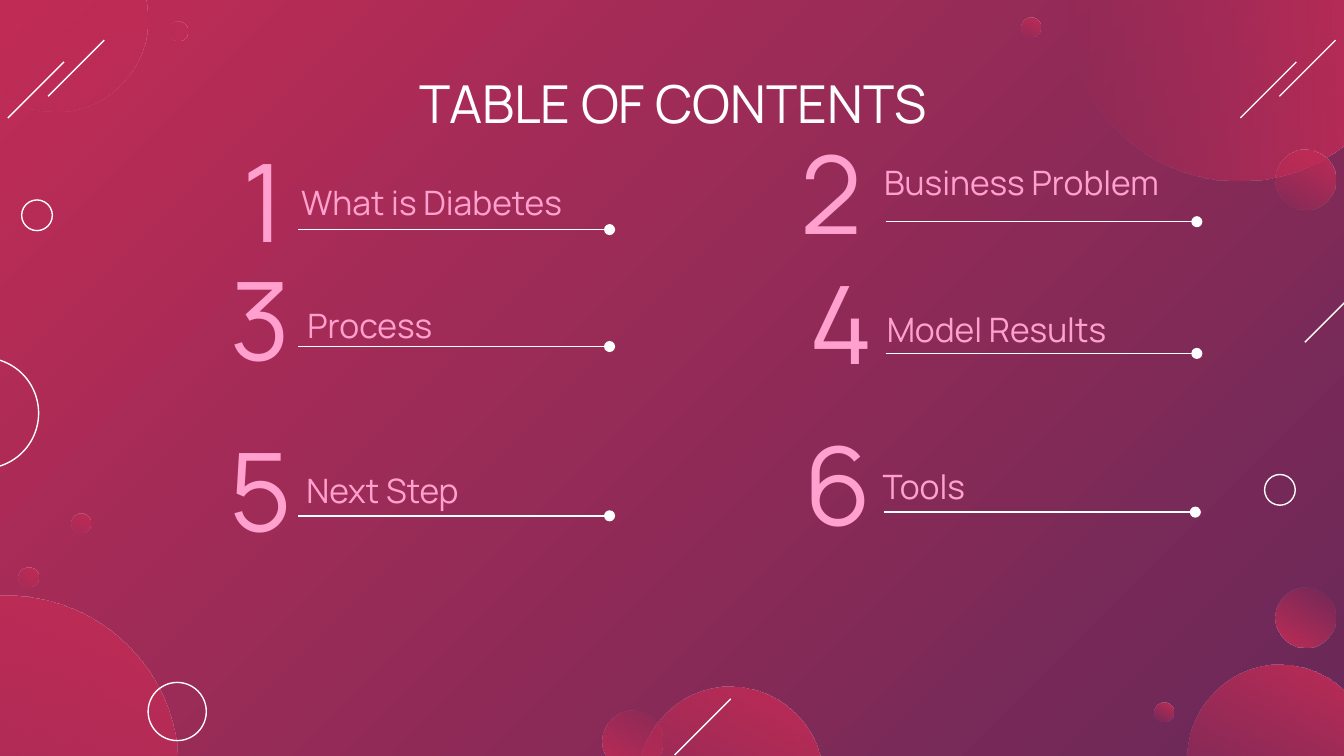
from dataclasses import dataclass

from lxml.etree import SubElement
from pptx import Presentation
from pptx.dml.color import RGBColor as Rgb
from pptx.enum.shapes import MSO_CONNECTOR as Connector, MSO_SHAPE as Shape
from pptx.enum.text import MSO_ANCHOR as Anchor, MSO_AUTO_SIZE as AutoSize, PP_ALIGN as Align
from pptx.oxml.ns import qn
from pptx.util import Cm, Pt


@dataclass(frozen=True)
class Theme:
    font: str = "Manrope"
    crimson: Rgb = Rgb(0xC0, 0x2C, 0x56)
    plum: Rgb = Rgb(0x68, 0x29, 0x58)
    pink: Rgb = Rgb(0xFF, 0xA0, 0xCF)
    white: Rgb = Rgb(0xFF, 0xFF, 0xFF)
    title_size: int = 28
    label_size: int = 18
    number_size: int = 58
    line_width: float = 0.75


class ContentsSlide:
    def __init__(self, deck, theme):
        self.theme = theme
        self.slide = deck.slides.add_slide(deck.slide_layouts[5])
        self.shapes = self.slide.shapes

    def gradient(self, fill, colors, angle):
        fill.gradient()
        fill.gradient_angle = (360 - angle) % 360
        for stop, color, position in zip(fill.gradient_stops, colors, (0, 1)):
            stop.color.rgb = color
            stop.position = position

    def background(self):
        colors = (self.theme.crimson, self.theme.plum)
        self.gradient(self.slide.background.fill, colors, 45)

    def circle(self, left, top, diameter):
        circle = self.shapes.add_shape(
            Shape.OVAL, Cm(left), Cm(top), Cm(diameter), Cm(diameter))
        circle.shadow.inherit = False
        return circle

    def bubble(self, left, top, diameter, angle=121, clear_stop=1):
        bubble = self.circle(left, top, diameter)
        bubble.line.fill.background()
        self.gradient(bubble.fill, (self.theme.crimson,) * 2, angle)
        stops = list(bubble._element.spPr.iter(qn("a:srgbClr")))
        SubElement(stops[clear_stop], qn("a:alpha")).set("val", "0")

    def ring(self, left, top, diameter):
        ring = self.circle(left, top, diameter)
        ring.fill.background()
        self.outline(ring.line)

    def outline(self, line):
        line.color.rgb = self.theme.white
        line.width = Pt(self.theme.line_width)

    def line(self, x1, y1, x2, y2, dot_end=False):
        line = self.shapes.add_connector(
            Connector.STRAIGHT, Cm(x1), Cm(y1), Cm(x2), Cm(y2))
        self.outline(line.line)
        properties = line._element.spPr
        if dot_end:
            SubElement(properties.find(qn("a:ln")), qn("a:tailEnd")).set("type", "oval")
        SubElement(properties, qn("a:effectLst"))

    def set_text(self, box, text, size, color, align, anchor=Anchor.TOP, side=0.25):
        frame = box.text_frame
        frame.text = text
        frame.word_wrap = True
        frame.auto_size = AutoSize.NONE
        frame.vertical_anchor = anchor
        frame.margin_left = frame.margin_right = Cm(side)
        frame.margin_top = frame.margin_bottom = Cm(0.25)
        paragraph = frame.paragraphs[0]
        paragraph.alignment = align
        paragraph.font.name = self.theme.font
        paragraph.font.size = Pt(size)
        paragraph.font.color.rgb = color

    def title(self, text, left, top, width, height):
        title = self.shapes.title
        title.left, title.top = Cm(left), Cm(top)
        title.width, title.height = Cm(width), Cm(height)
        self.set_text(title, text, self.theme.title_size, self.theme.white, Align.CENTER)

    def number(self, text, *bounds):
        box = self.shapes.add_textbox(*map(Cm, bounds))
        self.set_text(box, text, self.theme.number_size, self.theme.pink,
                      Align.RIGHT, Anchor.MIDDLE, 0)

    def label(self, text, *bounds):
        box = self.shapes.add_textbox(*map(Cm, bounds))
        self.set_text(box, text, self.theme.label_size, self.theme.pink, Align.LEFT)


BUBBLES = [
    (-0.69, -1.37, 3.48),
    (-3.12, 11.25, 6.48),
    (20.17, -3.07, 6.48, 0, 0),
    (24.1, 11.1, 1.14, 121, 0),
    (21.82, 13.28, 0.36),
    (12.06, 12.98, 3.48),
    (19.3, 0.33, 0.36),
    (3.18, 0.41, 0.36, 0, 0),
    (0.36, 10.72, 0.36),
    (1.35, 9.7, 0.36),
    (24.1, 2.82, 1.14),
    (11.38, 13.44, 1.14, 121, 0),
    (22.45, 12.57, 3.48),
]
RINGS = [(2.8, 12.9, 1.1), (23.9, 8.97, 0.58), (-1.37, 6.76, 2.1), (0.41, 3.78, 0.58)]
STROKES = [(0.91, 0.76), (0.15, 1.17), (24.66, 5.41),
           (24.18, 0.76), (23.44, 1.17), (12.75, 13.21)]
STROKE_SPAN = 1.06
LABEL_WIDTH = 6.55
RULE_LENGTH = 5.88
ENTRIES = [
    ("What is Diabetes", (2.26, 2.34, 3.12, 2.84), (5.44, 3.18, 1.17), (5.64, 4.34)),
    ("Business Problem", (13.18, 2.82, 3.12, 1.6), (16.46, 2.82, 1.37), (16.74, 4.19)),
    ("Process", (2.69, 4.57, 2.79, 2.84), (5.56, 5.51, 1.19), (5.64, 6.55)),
    ("Model Results", (13.39, 5.33, 3.12, 1.47), (16.51, 5.59, 1.47), (16.74, 6.68)),
    ("Next Step", (2.72, 7.8, 2.79, 2.84), (5.54, 8.64, 1.19), (5.64, 9.75)),
    ("Tools", (13.36, 8.38, 3.12, 1.47), (16.43, 8.56, 1.47), (16.71, 9.68)),
]


def main():
    deck = Presentation()
    deck.slide_width, deck.slide_height = Cm(25.4), Cm(14.29)
    contents = ContentsSlide(deck, Theme())
    contents.background()
    for bubble in BUBBLES:
        contents.bubble(*bubble)
    for ring in RINGS:
        contents.ring(*ring)
    for left, top in STROKES:
        contents.line(left + STROKE_SPAN, top, left, top + STROKE_SPAN)
    contents.title("TABLE OF CONTENTS", 2.01, 1.09, 21.41, 1.6)
    for number, (topic, number_bounds, label_place, rule_start) in enumerate(ENTRIES, 1):
        contents.number(str(number), *number_bounds)
        label_left, label_top, label_height = label_place
        contents.label(topic, label_left, label_top, LABEL_WIDTH, label_height)
        rule_left, rule_y = rule_start
        contents.line(rule_left, rule_y, rule_left + RULE_LENGTH, rule_y, dot_end=True)
    deck.save("out.pptx")


if __name__ == "__main__":
    main()
